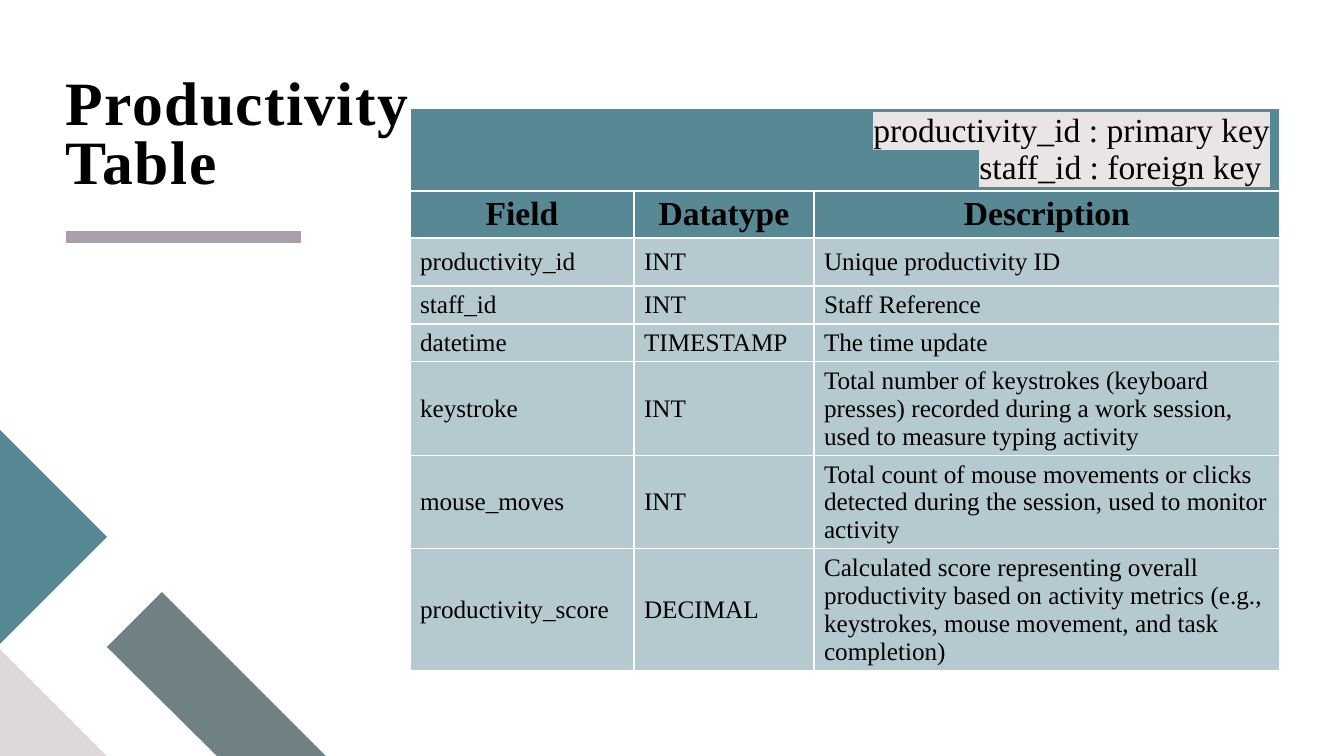
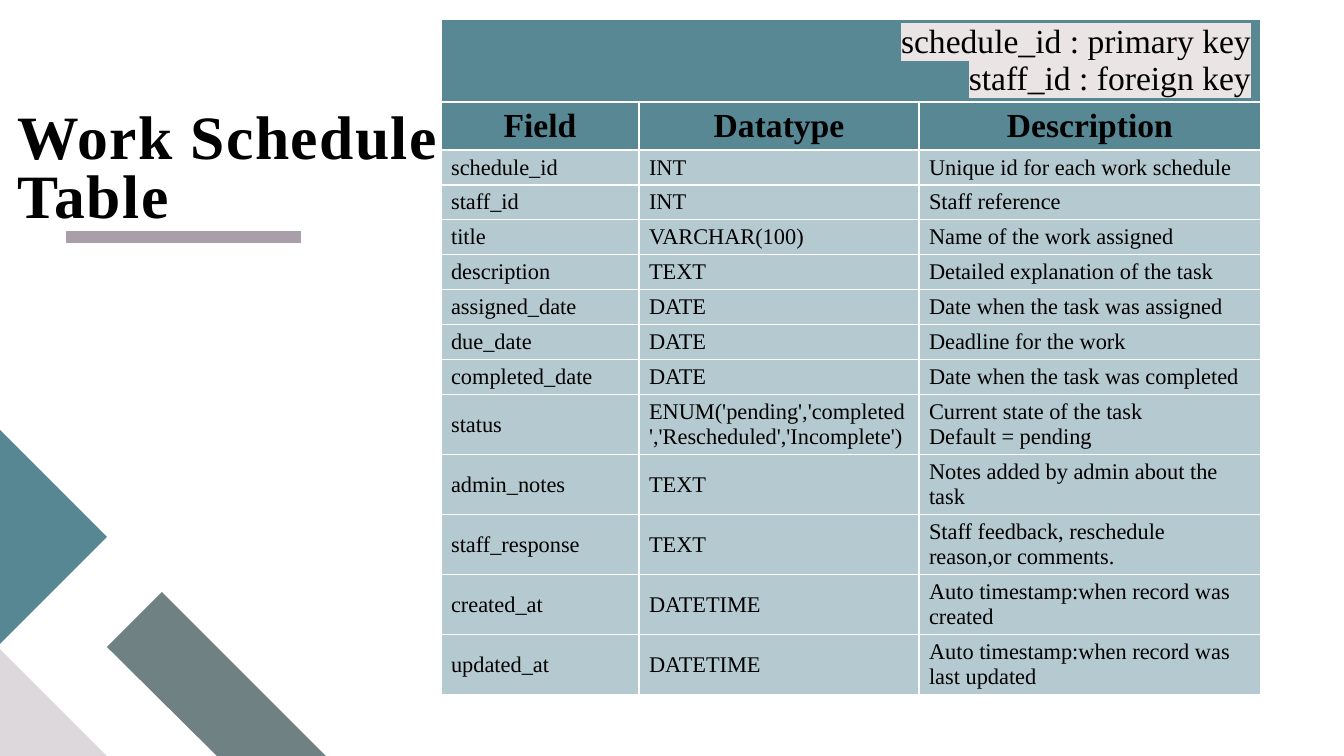
from dataclasses import dataclass

from lxml import etree
from pptx import Presentation
from pptx import util as u
from pptx.dml.color import RGBColor
from pptx.enum import shapes, text
from pptx.oxml import ns

SCALE = 914400 / 100.8


@dataclass(frozen=True)
class Theme:
    """Colours, typeface and type sizes of the deck."""
    font: str = "Times New Roman"
    ink: str = "000000"
    white: str = "FFFFFF"
    teal: str = "578793"
    slate: str = "6F8183"
    pale: str = "DCD8DC"
    rule: str = "A89FA8"
    head: str = "588894"
    body: str = "B5C9D0"
    mark: str = "EAE4E4"
    title_size: int = 44
    head_size: int = 24
    rule_width: int = 8
    border_width: int = 1


T = Theme()
RULE_BOX = (66, 237, 235)
CORNER_BOX = (0, 430)
CORNER_SHAPES = [
    (T.slate, [(162, 162), (107, 217), (217, 326), (326, 326)]),
    (T.pale, [(0, 219), (107, 326), (0, 326)]),
    (T.teal, [(0, 0), (107, 107), (0, 214)]),
]
HEADINGS = ["Field", "Datatype", "Description"]

SLIDES = [
    dict(
        title="Productivity Table", title_box=(66, 76, 345, 120),
        table_at=(410, 108), cols=[224, 180, 466], size=18,
        heights=[83, 47, 48, 38, 38, 94, 93, 122],
        keys="productivity_id : primary key\nstaff_id : foreign key ",
        rows=[
            ("productivity_id", "INT", "Unique productivity ID"),
            ("staff_id", "INT", "Staff Reference"),
            ("datetime", "TIMESTAMP", "The time update"),
            ("keystroke", "INT",
             "Total number of keystrokes (keyboard presses) recorded during "
             "a work session, used to measure typing activity"),
            ("mouse_moves", "INT",
             "Total count of mouse movements or clicks detected during the "
             "session, used to monitor activity"),
            ("productivity_score", "DECIMAL",
             "Calculated score representing overall productivity based on "
             "activity metrics (e.g., keystrokes, mouse movement, and task "
             "completion)"),
        ],
    ),
    dict(
        title="Work Schedule Table", title_box=(18, 110, 422, 120),
        table_at=(441, 19), cols=[198, 280, 342], size=16,
        heights=[83, 48] + [35] * 7 + [60] * 5,
        keys="schedule_id : primary key\nstaff_id : foreign key",
        rows=[
            ("schedule_id", "INT", "Unique id for each work schedule"),
            ("staff_id", "INT", "Staff reference"),
            ("title", "VARCHAR(100)", "Name of the work assigned"),
            ("description", "TEXT", "Detailed explanation of the task"),
            ("assigned_date", "DATE", "Date when the task was assigned"),
            ("due_date", "DATE", "Deadline for the work"),
            ("completed_date", "DATE", "Date when the task was completed"),
            ("status", "ENUM('pending','completed','Rescheduled','Incomplete')",
             "Current state of the task\nDefault = pending"),
            ("admin_notes", "TEXT", "Notes added by admin about the task"),
            ("staff_response", "TEXT",
             "Staff feedback, reschedule reason,or comments."),
            ("created_at", "DATETIME", "Auto timestamp:when record was created"),
            ("updated_at", "DATETIME",
             "Auto timestamp:when record was last updated"),
        ],
    ),
]


def px(n):
    """Turn a length in px into EMU."""
    return u.Emu(round(n * SCALE))


def rgb(color):
    """Turn a hex string into a colour."""
    return RGBColor.from_string(color)


def add_color(parent, tag, color):
    """Append a colour-holding element to an XML parent and return it."""
    el = etree.SubElement(parent, ns.qn(tag))
    etree.SubElement(el, ns.qn("a:srgbClr")).set("val", color)
    return el


def put_text(tf, content, size, bold=False, align=None, spacing=None,
             tracking=None, mark=None):
    """Write each line of the content as one formatted paragraph."""
    for i, line in enumerate(content.split("\n")):
        p = tf.add_paragraph() if i else tf.paragraphs[0]
        p.alignment = align
        p.line_spacing = spacing
        r = p.add_run()
        r.text = line
        r.font.size = u.Pt(size)
        r.font.bold = bold
        r.font.color.rgb = rgb(T.ink)
        r.font.name = T.font
        rpr = r.font._element
        if tracking:
            rpr.set("spc", str(tracking * 100))
        if mark:
            rpr.find(ns.qn("a:latin")).addprevious(
                add_color(rpr, "a:highlight", mark))


def add_rule(s, x, y, w):
    """Draw the thick rule under the title."""
    line = s.shapes.add_connector(shapes.MSO_CONNECTOR.STRAIGHT,
                                  px(x), px(y), px(x + w), px(y))
    line.line.color.rgb = rgb(T.rule)
    line.line.width = u.Pt(T.rule_width)
    etree.SubElement(line._element.spPr, ns.qn("a:effectLst"))


def add_corner(s, x, y):
    """Draw the diagonal ornament of the lower left corner."""
    for color, points in CORNER_SHAPES:
        fb = s.shapes.build_freeform(*points[0], scale=SCALE)
        fb.add_line_segments(points[1:], close=True)
        sp = fb.convert_to_shape(px(x), px(y))
        sp.shadow.inherit = False
        sp.fill.solid()
        sp.fill.fore_color.rgb = rgb(color)
        sp.line.fill.background()


def add_title(s, title, box):
    """Place the title at the bottom of its box."""
    tf = s.shapes.add_textbox(*map(px, box)).text_frame
    tf.word_wrap = True
    tf.vertical_anchor = text.MSO_ANCHOR.BOTTOM
    tf.margin_left = tf.margin_right = tf.margin_top = tf.margin_bottom = 0
    put_text(tf, title, T.title_size, bold=True, spacing=0.8, tracking=1)


def style_cell(cell, color):
    """Give a cell its borders, fill, margins and anchor."""
    tcpr = cell._tc.get_or_add_tcPr()
    for side in ("a:lnL", "a:lnR", "a:lnT", "a:lnB"):
        ln = etree.SubElement(tcpr, ns.qn(side))
        ln.set("w", str(u.Pt(T.border_width)))
        add_color(ln, "a:solidFill", T.white)
    cell.fill.solid()
    cell.fill.fore_color.rgb = rgb(color)
    cell.margin_top = cell.margin_bottom = 0
    cell.vertical_anchor = text.MSO_ANCHOR.MIDDLE


def add_field_table(s, at, cols, heights, keys, rows, size):
    """Build the table of keys, headings and fields."""
    x, y = at
    table = s.shapes.add_table(len(heights), len(cols), px(x), px(y),
                               px(sum(cols)), px(sum(heights))).table
    table.first_row = table.horz_banding = False
    for col, w in zip(table.columns, cols):
        col.width = px(w)
    for row, h in zip(table.rows, heights):
        row.height = px(h)
    for i, row in enumerate(table.rows):
        for cell in row.cells:
            style_cell(cell, T.head if i < 2 else T.body)
    table.cell(0, 0).merge(table.cell(0, len(cols) - 1))
    put_text(table.cell(0, 0).text_frame, keys, T.head_size,
             align=text.PP_ALIGN.RIGHT, mark=T.mark)
    for j, heading in enumerate(HEADINGS):
        put_text(table.cell(1, j).text_frame, heading, T.head_size,
                 bold=True, align=text.PP_ALIGN.CENTER)
    for i, values in enumerate(rows, 2):
        for j, value in enumerate(values):
            put_text(table.cell(i, j).text_frame, value, size)


def add_table_slide(prs, title, title_box, table_at, **table):
    """Add one slide with ornament, title and field table."""
    s = prs.slides.add_slide(prs.slide_layouts[6])
    s.background.fill.solid()
    s.background.fill.fore_color.rgb = rgb(T.white)
    add_rule(s, *RULE_BOX)
    add_corner(s, *CORNER_BOX)
    add_title(s, title, title_box)
    add_field_table(s, table_at, **table)


def main():
    """Build and save the deck."""
    prs = Presentation()
    prs.slide_width, prs.slide_height = px(1344), px(756)
    for content in SLIDES:
        add_table_slide(prs, **content)
    prs.save("out.pptx")


if __name__ == "__main__":
    main()
